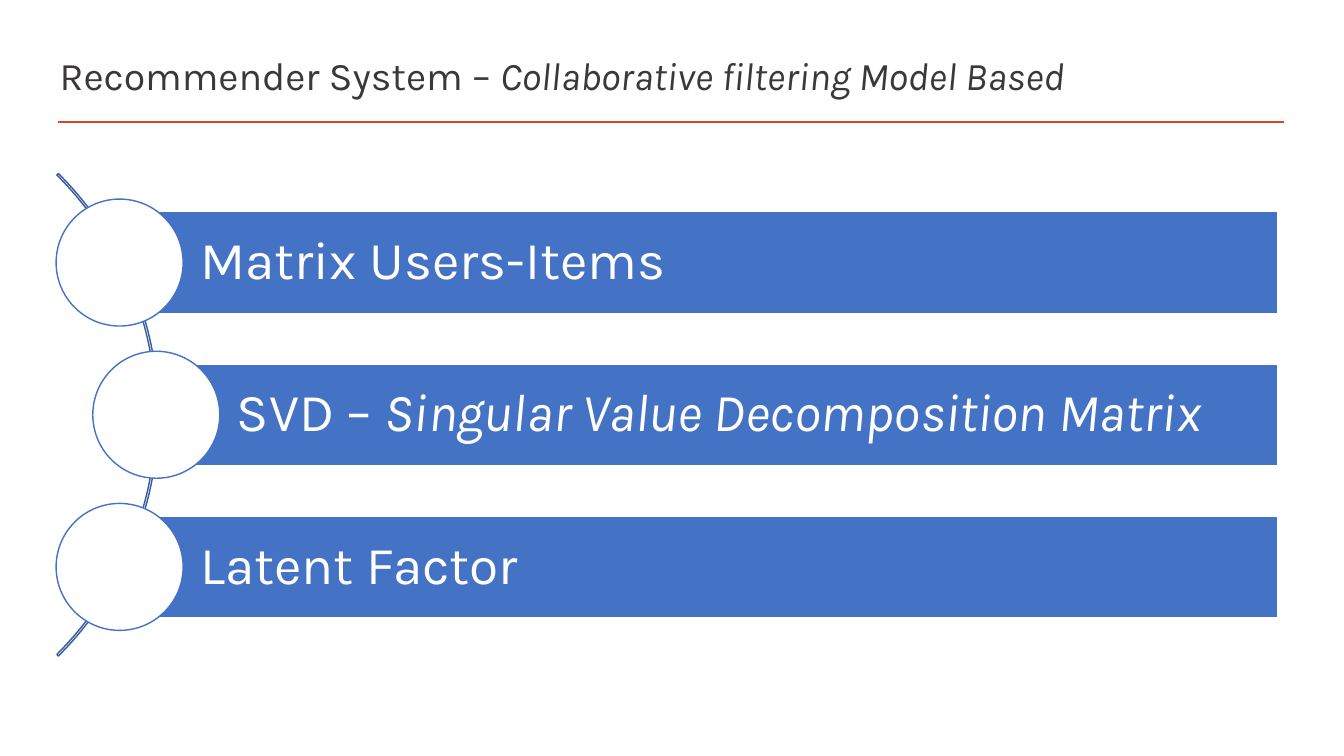
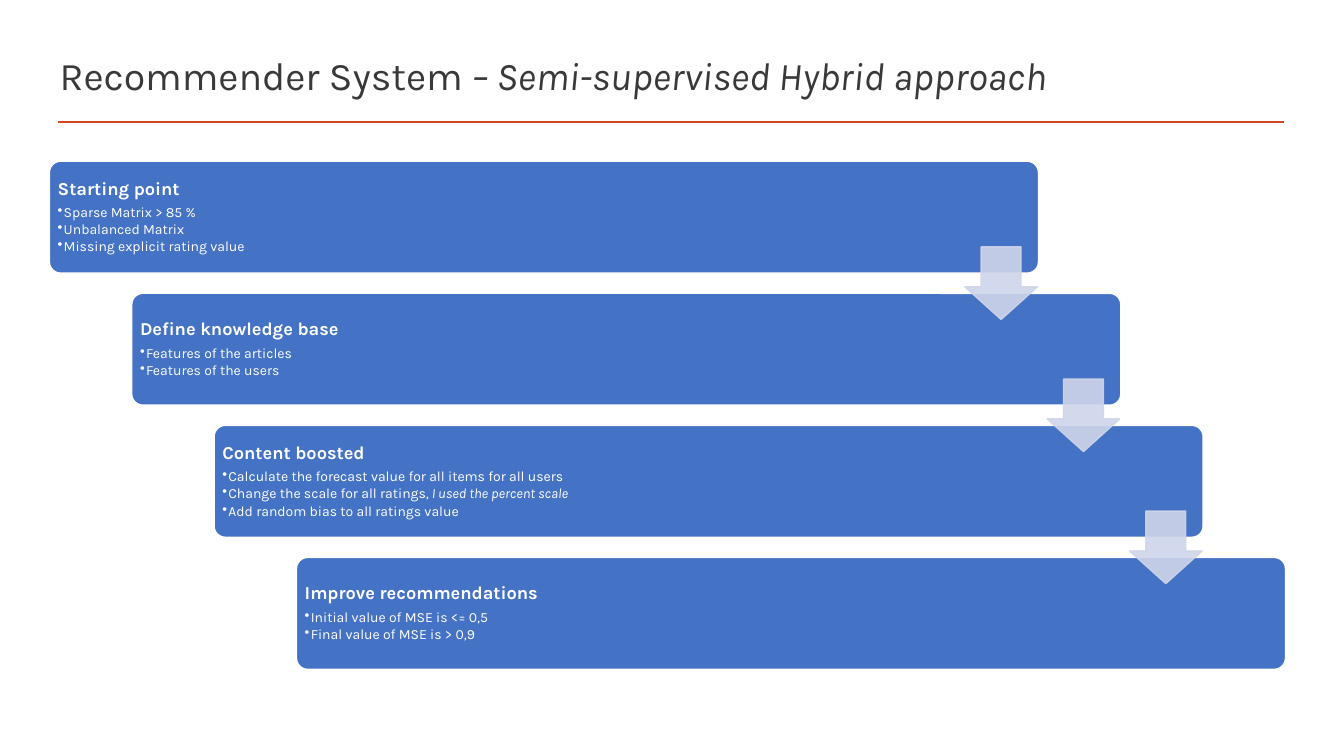
from dataclasses import dataclass
from lxml import etree
from pptx import Presentation
from pptx.dml.color import RGBColor
from pptx.enum.shapes import MSO_CONNECTOR, MSO_SHAPE
from pptx.enum.text import MSO_ANCHOR, MSO_AUTO_SIZE, PP_ALIGN
from pptx.oxml.ns import qn
from pptx.util import Inches, Pt

RECT = MSO_SHAPE.RECTANGLE
ROUND = MSO_SHAPE.ROUNDED_RECTANGLE
OVAL = MSO_SHAPE.OVAL
ARC = MSO_SHAPE.BLOCK_ARC
ARROW = MSO_SHAPE.DOWN_ARROW
STRAIGHT = MSO_CONNECTOR.STRAIGHT
LEFT = PP_ALIGN.LEFT
MIDDLE = MSO_ANCHOR.MIDDLE
NO_FIT = MSO_AUTO_SIZE.NONE

FONT = "Karla"
INK, RULE, WHITE = "3B3838", "D24726", "FFFFFF"
BLUE, DARK_BLUE, PALE = "4472C4", "365B9D", "CFD5EA"

W, H = Inches(13.33), Inches(7.5)
TITLE_ONLY = 5


@dataclass(frozen=True)
class Phrase:
    plain: str
    italic: str = ""


@dataclass(frozen=True)
class Box:
    left: float
    top: float
    width: float
    height: float

    @property
    def right(self) -> float:
        return self.left + self.width


@dataclass(frozen=True)
class Bar:
    left: float
    label: Phrase


@dataclass(frozen=True)
class Step:
    heading: str
    points: tuple[Phrase, ...]


TITLE_BOX = Box(3.68, 6.27, 91.97, 8.13)
RULE_LEFT, RULE_RIGHT, RULE_TOP = 4.35, 95.57, 16.13

ARC_BOX = Box(-39.01, 9.73, 50.79, 90.27)
BAR_TOP, BAR_PITCH, BAR_HEIGHT, BAR_RIGHT = 28, 20.13, 13.47, 95.05
DISC_WIDTH, DISC_HEIGHT = 9.45, 16.8

STEP_LEFT, STEP_RIGHT, STEP_WIDTH = 3.68, 95.65, 73.59
STEP_TOP, STEP_PITCH, STEP_HEIGHT = 21.33, 17.47, 14.8
ARROW_WIDTH, ARROW_HEIGHT = 5.4, 9.6
ARROW_BACK, ARROW_DROP = 5.48, 11.33
BULLET_INDENT = 0.45

BARS = (
    Bar(8.9, Phrase("Matrix Users-Items")),
    Bar(11.63, Phrase("SVD – ", "Singular Value Decomposition Matrix")),
    Bar(8.9, Phrase("Latent Factor")),
)

STEPS = (
    Step("Starting point", (
        Phrase("Sparse Matrix > 85 %"),
        Phrase("Unbalanced Matrix"),
        Phrase("Missing explicit rating value"),
    )),
    Step("Define knowledge base", (
        Phrase("Features of the articles"),
        Phrase("Features of the users"),
    )),
    Step("Content boosted", (
        Phrase("Calculate the forecast value for all items for all users"),
        Phrase("Change the scale for all ratings,", " I used the percent scale"),
        Phrase("Add random bias to all ratings value"),
    )),
    Step("Improve recommendations", (
        Phrase("Initial value of MSE is <= 0,5"),
        Phrase("Final value of MSE is > 0,9"),
    )),
)


def rgb(color: str) -> RGBColor:
    return RGBColor.from_string(color)


def col(n: float) -> int:
    return round(W * n / 100)


def row(n: float) -> int:
    return round(H * n / 100)


def place(sp, box: Box) -> None:
    sp.left, sp.top = col(box.left), row(box.top)
    sp.width, sp.height = col(box.width), row(box.height)


def add_shape(slide, kind, box: Box, fill: str | None, line: str,
              adjustments: tuple[float, ...] = (), alpha: int = 100):
    sp = slide.shapes.add_shape(kind, col(box.left), row(box.top),
                                col(box.width), row(box.height))
    sp.shadow.inherit = False
    if fill:
        sp.fill.solid()
        sp.fill.fore_color.rgb = rgb(fill)
    else:
        sp.fill.background()
    sp.line.color.rgb = rgb(line)
    sp.line.width = Pt(1)
    for i, value in enumerate(adjustments):
        sp.adjustments[i] = value
    if alpha < 100:
        for clr in sp.element.iter(qn("a:srgbClr")):
            etree.SubElement(clr, qn("a:alpha"), val=str(alpha * 1000))
    return sp


def write(p, phrase: Phrase, size: float, color: str, bold: bool = False) -> None:
    p.alignment = LEFT
    p.line_spacing = 0.9
    p.font.name = FONT
    p.font.size = Pt(size)
    p.font.bold = bold
    p.font.color.rgb = rgb(color)
    p.add_run().text = phrase.plain
    if phrase.italic:
        r = p.add_run()
        r.text = phrase.italic
        r.font.italic = True


def add_bullet(p) -> None:
    pPr = p._p.get_or_add_pPr()
    pPr.set("marL", str(col(BULLET_INDENT)))
    pPr.set("indent", str(-col(BULLET_INDENT)))
    bullet = etree.Element(qn("a:buChar"), char="•")
    pPr.find(qn("a:defRPr")).addprevious(bullet)


def frame(sp, left: int, margin: int):
    tf = sp.text_frame
    tf.word_wrap = True
    tf.vertical_anchor = MIDDLE
    tf.margin_left = left
    tf.margin_right = tf.margin_top = tf.margin_bottom = margin
    return tf


def add_rule(slide, layout) -> None:
    line = slide.shapes.add_connector(STRAIGHT, col(RULE_LEFT), row(RULE_TOP),
                                      col(RULE_RIGHT), row(RULE_TOP))
    line.line.color.rgb = rgb(RULE)
    line.line.width = Pt(2)
    etree.SubElement(line.element.spPr, qn("a:effectLst"))
    layout.shapes.element.append(line.element)


def add_slide(prs, layout, title: Phrase):
    slide = prs.slides.add_slide(layout)
    sp = slide.shapes.title
    place(sp, TITLE_BOX)
    tf = sp.text_frame
    tf.auto_size = NO_FIT
    tf.vertical_anchor = MIDDLE
    write(tf.paragraphs[0], title, 28, INK)
    return slide


def draw_bars(slide) -> None:
    add_shape(slide, ARC, ARC_BOX, None, DARK_BLUE, (189, 27, 0.0032))
    for i, bar in enumerate(BARS):
        top = BAR_TOP + i * BAR_PITCH
        box = Box(bar.left, top, BAR_RIGHT - bar.left, BAR_HEIGHT)
        sp = add_shape(slide, RECT, box, BLUE, WHITE)
        tf = frame(sp, col(6), Inches(0.11))
        write(tf.paragraphs[0], bar.label, 38, WHITE)
        disc = Box(bar.left - DISC_WIDTH / 2, top + (BAR_HEIGHT - DISC_HEIGHT) / 2,
                   DISC_WIDTH, DISC_HEIGHT)
        add_shape(slide, OVAL, disc, WHITE, BLUE)


def draw_steps(slide) -> None:
    shift = (STEP_RIGHT - STEP_LEFT - STEP_WIDTH) / (len(STEPS) - 1)
    boxes = [Box(STEP_LEFT + i * shift, STEP_TOP + i * STEP_PITCH,
                 STEP_WIDTH, STEP_HEIGHT) for i in range(len(STEPS))]
    for step, box in zip(STEPS, boxes):
        sp = add_shape(slide, ROUND, box, BLUE, WHITE, (0.1,))
        tf = frame(sp, Inches(0.05), Inches(0.05))
        p = tf.paragraphs[0]
        write(p, Phrase(step.heading), 13, WHITE, bold=True)
        p.space_after = Pt(4.5)
        for point in step.points:
            p = tf.add_paragraph()
            write(p, point, 10, WHITE)
            p.space_after = Pt(1.5)
            add_bullet(p)
    for box in boxes[:-1]:
        arrow = Box(box.right - ARROW_BACK, box.top + ARROW_DROP,
                    ARROW_WIDTH, ARROW_HEIGHT)
        add_shape(slide, ARROW, arrow, PALE, PALE, (0.55, 0.45), alpha=90)


def main() -> None:
    prs = Presentation()
    prs.slide_width, prs.slide_height = W, H
    layout = prs.slide_layouts[TITLE_ONLY]
    slide = add_slide(prs, layout, Phrase("Recommender System – ",
                                          "Collaborative filtering Model Based"))
    add_rule(slide, layout)
    draw_bars(slide)
    slide = add_slide(prs, layout, Phrase("Recommender System",
                                          " – Semi-supervised Hybrid approach"))
    draw_steps(slide)
    prs.save("out.pptx")


if __name__ == "__main__":
    main()
